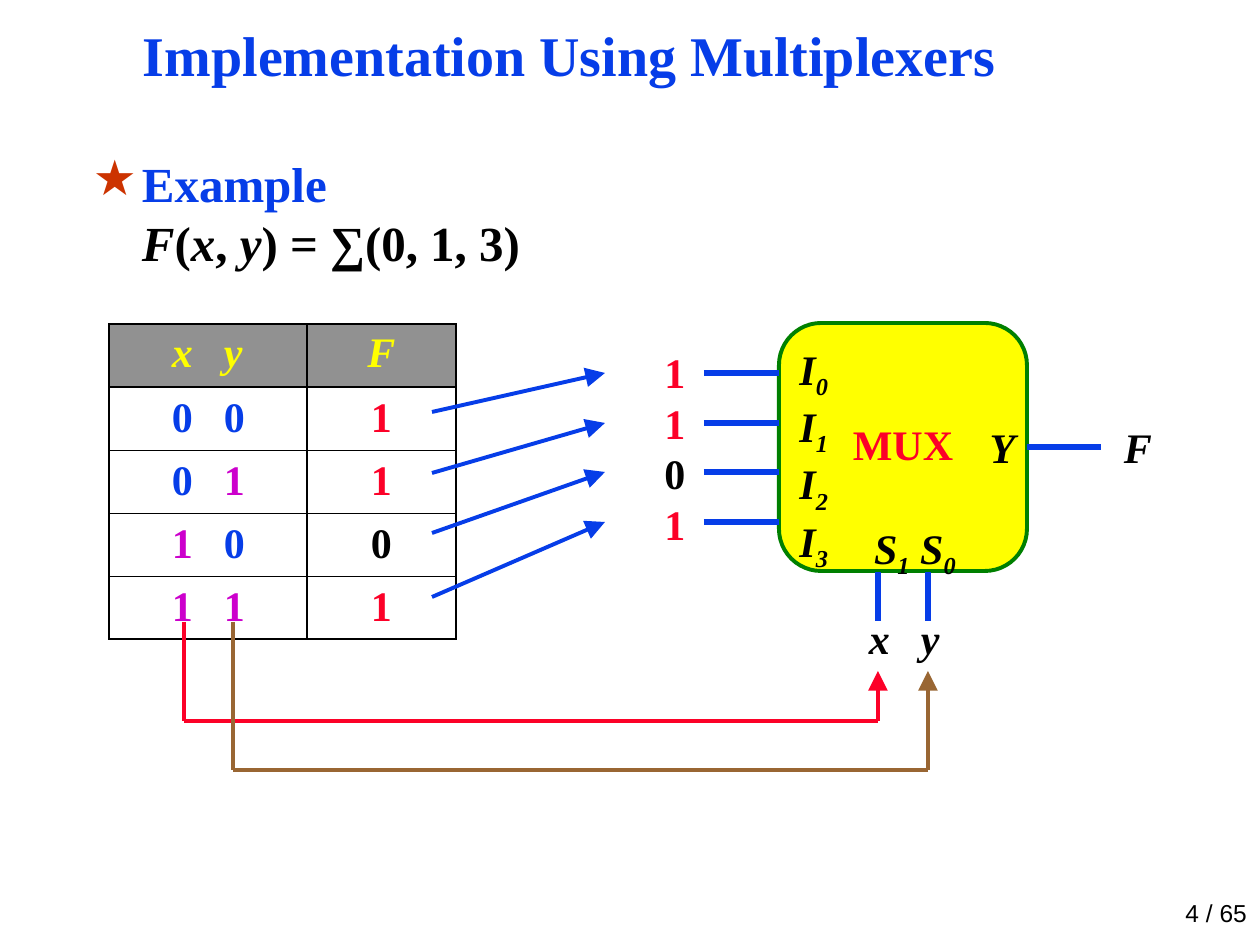
from lxml.etree import SubElement
from pptx import Presentation
from pptx.dml.color import RGBColor
from pptx.enum.shapes import MSO_CONNECTOR, MSO_SHAPE
from pptx.enum.text import MSO_ANCHOR, PP_ALIGN
from pptx.oxml.ns import qn
from pptx.util import Pt

PX = 7257.6
SERIF = "Times New Roman"
BLUE = RGBColor(0x06, 0x3D, 0xE8)
RED = RGBColor(0xFC, 0x01, 0x28)
BROWN = RGBColor(0x99, 0x66, 0x33)
PLUM = RGBColor(0xCC, 0x00, 0xCC)
GRAY = RGBColor(0x91, 0x91, 0x91)
YELLOW = RGBColor(0xFF, 0xFF, 0x00)
GREEN = RGBColor(0x00, 0x80, 0x00)
BLACK = RGBColor(0, 0, 0)
WHITE = RGBColor(0xFF, 0xFF, 0xFF)
PITCH = 52
LEVELS = [373, 423, 472, 522]
BITS = "1101"


def emu(px):
    return round(px * PX)


def style(par, color, size=24, italic=False, align=PP_ALIGN.CENTER, name=SERIF, bold=True):
    par.alignment = align
    font = par.font
    font.name, font.size, font.bold, font.italic = name, Pt(size), bold, italic
    if color is not None:
        font.color.rgb = color


def add_run(par, text, color=None, italic=None, sub=False):
    run = par.add_run()
    run.text = text
    if color is not None:
        run.font.color.rgb = color
    if italic is not None:
        run.font.italic = italic
    if sub:
        run._r.get_or_add_rPr().set("baseline", "-25000")


def add_tab(par, px):
    tabs = SubElement(par._p.get_or_add_pPr(), qn("a:tabLst"))
    SubElement(tabs, qn("a:tab"), pos=str(emu(px)), algn="l")


def add_box(slide, x, y, w, h, inset=(0, 0)):
    frame = slide.shapes.add_textbox(*map(emu, (x, y, w, h))).text_frame
    frame.word_wrap = True
    frame.margin_left = frame.margin_right = emu(inset[0])
    frame.margin_top = frame.margin_bottom = emu(inset[1])
    return frame


def add_label(slide, x, y, w, h, text, color=BLACK, **look):
    inset = look.pop("inset", (0, 0))
    frame = add_box(slide, x, y, w, h, inset)
    par = frame.paragraphs[0]
    add_run(par, text)
    style(par, color, **look)
    return frame


def add_line(slide, start, end, color, width, arrow=False):
    line = slide.shapes.add_connector(MSO_CONNECTOR.STRAIGHT, *map(emu, (*start, *end)))
    line.line.color.rgb = color
    line.line.width = Pt(width)
    if arrow:
        SubElement(line.line._get_or_add_ln(), qn("a:tailEnd"),
                   type="triangle", w="lg", len="lg")
    SubElement(line._element.spPr, qn("a:effectLst"))
    return line


def add_route(slide, points, color):
    last = len(points) - 2
    for i, (start, end) in enumerate(zip(points, points[1:])):
        add_line(slide, start, end, color, 2.25, i == last)


def add_edges(cell, row, col):
    props = cell._tc.get_or_add_tcPr()
    widths = {
        "L": 1.47 if col else 1.08,
        "R": 1.08 if col else 1.47,
        "T": {0: 1.08, 1: 1.47}.get(row, 0.45),
        "B": {0: 1.47, 4: 1.08}.get(row, 0.45),
    }
    for side, width in widths.items():
        edge = SubElement(props, qn("a:ln" + side), w=str(Pt(width)))
        fill = SubElement(edge, qn("a:solidFill"))
        SubElement(fill, qn("a:srgbClr"), val=str(BLACK))


def fill_cell(cell, row, col, parts):
    add_edges(cell, row, col)
    if row:
        cell.fill.background()
        cell.vertical_anchor = MSO_ANCHOR.MIDDLE
    else:
        cell.fill.solid()
        cell.fill.fore_color.rgb = GRAY
    par = cell.text_frame.paragraphs[0]
    if col == 0:
        cell.margin_left = emu(63)
        add_tab(par, PITCH)
    colors = {color for _, color in parts}
    for i, (text, color) in enumerate(parts):
        add_run(par, "\t" * i + text, color if len(colors) > 1 else None)
    style(par, colors.pop() if len(colors) == 1 else None, italic=row == 0,
          align=PP_ALIGN.CENTER if col else PP_ALIGN.LEFT)


def add_truth(slide):
    table = slide.shapes.add_table(5, 2, *map(emu, (109, 324, 347, 315))).table
    table.first_row = table.horz_banding = False
    table.columns[0].width, table.columns[1].width = emu(198), emu(149)
    fill_cell(table.cell(0, 0), 0, 0, [("x", YELLOW), ("y", YELLOW)])
    fill_cell(table.cell(0, 1), 0, 1, [("F", YELLOW)])
    for i, bit in enumerate(BITS):
        pair = [(c, PLUM if c == "1" else BLUE) for c in f"{i:02b}"]
        fill_cell(table.cell(i + 1, 0), i + 1, 0, pair)
        fill_cell(table.cell(i + 1, 1), i + 1, 1, [(bit, RED if bit == "1" else BLACK)])


def add_mux(slide):
    mux = slide.shapes.add_shape(MSO_SHAPE.ROUNDED_RECTANGLE, *map(emu, (779, 323, 248, 248)))
    mux.shadow.inherit = False
    mux.adjustments[0] = 0.17
    mux.fill.solid()
    mux.fill.fore_color.rgb = YELLOW
    mux.line.color.rgb = GREEN
    mux.line.width = Pt(2.25)
    frame = mux.text_frame
    frame.vertical_anchor = MSO_ANCHOR.MIDDLE
    par = frame.paragraphs[0]
    par.line_spacing = 0.9
    add_run(par, "MUX")
    style(par, RED)

    for x in (878, 928):
        add_line(slide, (x, 621), (x, 572), BLUE, 3)
    for y in LEVELS:
        add_line(slide, (704, y), (779, y), BLUE, 3)
    out = add_line(slide, (1027, 447), (1101, 447), BLUE, 3)
    out.begin_connect(mux, 3)

    add_label(slide, 978, 422, 49, 50, "Y", italic=True)
    ports = add_box(slide, 779, 343, 49, 229)
    for i in range(4):
        par = ports.paragraphs[0] if i == 0 else ports.add_paragraph()
        add_run(par, "I")
        add_run(par, str(i), sub=True)
        style(par, BLACK, italic=True, align=PP_ALIGN.RIGHT)
    par = add_box(slide, 853, 522, 124, 58).paragraphs[0]
    for text, digit in (("S", "1"), (" S", "0")):
        add_run(par, text)
        add_run(par, digit, sub=True)
    style(par, BLACK, italic=True)


def add_body(slide):
    par = add_box(slide, 84, 150, 1142, 125, (9, 4)).paragraphs[0]
    props = par._p.get_or_add_pPr()
    props.set("marL", str(emu(49)))
    props.set("indent", str(-emu(49)))
    tint = SubElement(props, qn("a:buClr"))
    SubElement(tint, qn("a:srgbClr"), val="CC3300")
    SubElement(props, qn("a:buChar"), char="★")
    add_run(par, "Example", BLUE)
    par.add_line_break()
    for text, italic in (("F", True), ("(", False), ("x", True), (", ", False),
                         ("y", True), (") = ∑(0, 1, 3)", False)):
        add_run(par, text, BLACK, italic)
    style(par, None, 28, None, PP_ALIGN.LEFT)


def add_bits(slide):
    frame = add_box(slide, 655, 347, 40, 202)
    for i, bit in enumerate(BITS):
        par = frame.paragraphs[0] if i == 0 else frame.add_paragraph()
        add_run(par, bit)
        style(par, RED if bit == "1" else BLACK)


def main():
    deck = Presentation()
    deck.slide_width, deck.slide_height = emu(1260), emu(945)
    slide = deck.slides.add_slide(deck.slide_layouts[6])
    slide.background.fill.solid()
    slide.background.fill.fore_color.rgb = WHITE
    page = add_label(slide, 1095, 893, 165, 40, "4 / 65", size=14, name="Arial",
                     bold=False, align=PP_ALIGN.RIGHT, inset=(13, 6))
    page.vertical_anchor = MSO_ANCHOR.BOTTOM
    title = add_label(slide, 134, 26, 1091, 66, "Implementation Using Multiplexers", BLUE,
                      size=32, align=PP_ALIGN.LEFT, inset=(9, 4))
    title.paragraphs[0].line_spacing = 0.87
    add_mux(slide)
    add_truth(slide)
    add_body(slide)
    add_route(slide, [(184, 622), (184, 721), (878, 721), (878, 671)], RED)
    add_route(slide, [(233, 622), (233, 770), (928, 770), (928, 671)], BROWN)
    par = add_box(slide, 869, 613, 82, 50).paragraphs[0]
    add_tab(par, PITCH)
    add_run(par, "x\ty")
    style(par, BLACK, italic=True, align=PP_ALIGN.LEFT)
    add_label(slide, 1101, 422, 74, 50, "F", italic=True)
    for start, end in zip((412, 473, 533, 597), LEVELS):
        add_line(slide, (432, start), (605, end), BLUE, 2.25, True)
    add_bits(slide)
    deck.save("out.pptx")


if __name__ == "__main__":
    main()
